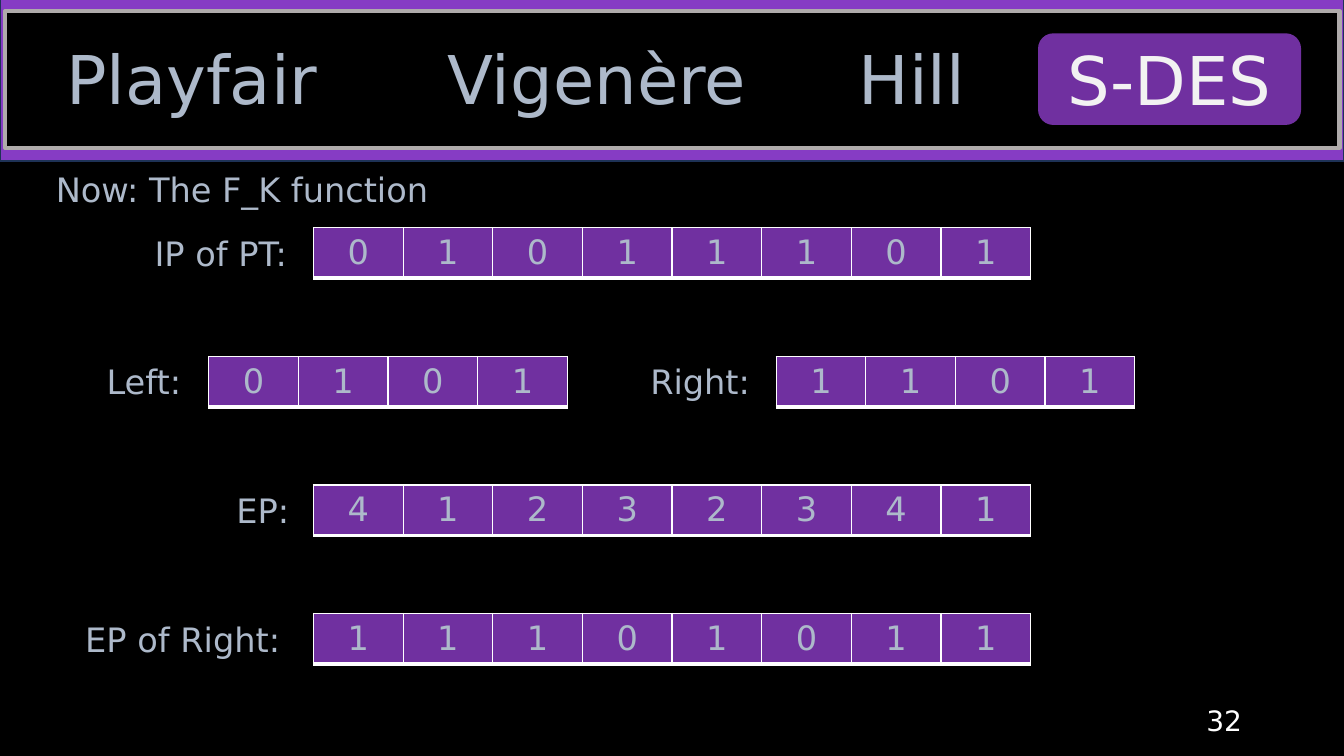
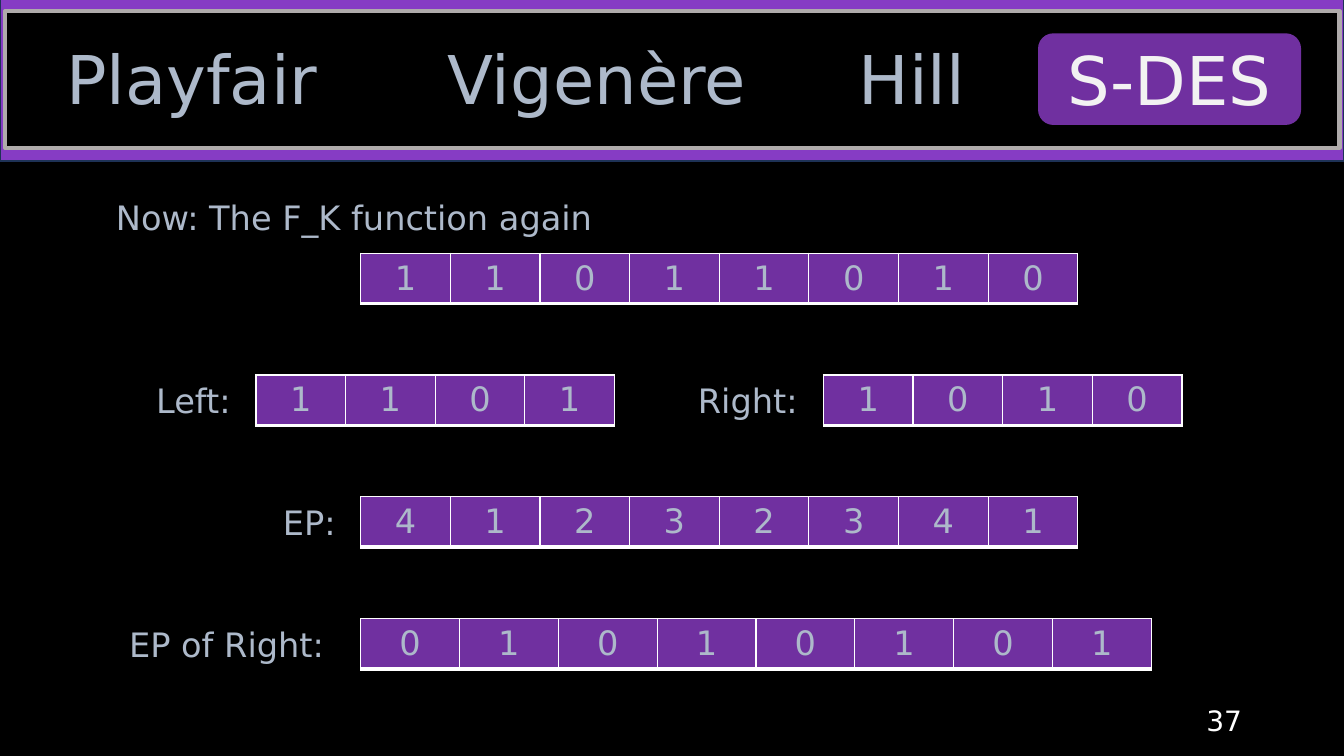
from lxml.etree import SubElement
from pptx import Presentation
from pptx.dml.color import RGBColor
from pptx.enum.shapes import MSO_SHAPE
from pptx.enum.text import MSO_ANCHOR, PP_ALIGN
from pptx.oxml.ns import qn
from pptx.util import Cm, Pt

COLORS = {
    "back": "000000", "band": "863CC4", "edge": "1E3256", "frame": "AFABAB",
    "cell": "7030A0", "text": "ADB9CA", "active": "F2F2F2", "white": "FFFFFF",
}
FONT = "DejaVu Sans"
ROW_HIGH = 1.26
CELL, WIDE = 2.26, 2.49
BORDERS = {"lnL": 1, "lnR": 1, "lnT": 1, "lnB": 3}

# fill, line, line width, box
BANDS = [
    ("band", "edge", 1, (0, -0.05, 33.87, 4.11)),
    ("back", "frame", 3, (0.13, 0.28, 33.63, 3.45)),
]
# name, left, width
TABS = [("Playfair", 0.61, 8.46), ("Vigenère", 10.29, 9.5), ("Hill", 21, 3.96)]
ACTIVE = ("S-DES", (26.16, 0.84, 6.63, 2.31))

# Each table: row, left from the main column, digits, cell width
# Each label: row, text, left, width, alignment
MID, RIGHT = PP_ALIGN.CENTER, PP_ALIGN.RIGHT
SLIDES = [
    {
        "page": "32", "left": 7.9, "top": 5.74, "step": 3.24,
        "head": ("Now: The F_K function", -0.15, 4.14, 12.5),
        "tables": [(0, 0, "01011101", CELL), (1, -2.64, "0101", CELL),
                   (1, 11.66, "1101", CELL), (2, 0, "41232341", CELL),
                   (3, 0, "11101011", CELL)],
        "labels": [(0, "IP of PT: ", 0.76, 6.99, RIGHT), (1, "Left: ", 2.31, 2.9, MID),
                   (1, "Right: ", 16, 3.56, MID), (2, "EP:", 5.28, 2.69, MID),
                   (3, "EP of Right:", 1.24, 6.73, MID)],
    },
    {
        "page": "37", "left": 9.09, "top": 6.38, "step": 3.07,
        "head": ("Now: The F_K function again", 1.04, 4.83, 15.77),
        "tables": [(0, 0, "11011010", CELL), (1, -2.64, "1101", CELL),
                   (1, 11.66, "1010", CELL), (2, 0, "41232341", CELL),
                   (3, 0, "01010101", WIDE)],
        "labels": [(1, "Left: ", 3.56, 2.9, MID), (1, "Right: ", 17.2, 3.56, MID),
                   (2, "EP:", 6.45, 2.69, MID), (3, "EP of Right:", 2.41, 6.6, MID)],
    },
]


def write(frame, text, size=24, color="text", align=MID):
    frame.text = text
    frame.word_wrap = True
    para = frame.paragraphs[0]
    para.alignment = align
    font = para.runs[0].font
    font.name, font.size = FONT, Pt(size)
    font.color.rgb = RGBColor.from_string(COLORS[color])


def panel(slide, kind, box, fill):
    shape = slide.shapes.add_shape(kind, *map(Cm, box))
    shape.shadow.inherit = False
    shape.fill.solid()
    shape.fill.fore_color.rgb = RGBColor.from_string(COLORS[fill])
    shape.line.fill.background()
    return shape


deck = Presentation()
deck.slide_width, deck.slide_height = Cm(33.87), Cm(19.05)

for data in SLIDES:
    slide = deck.slides.add_slide(deck.slide_layouts[6])
    slide.background.fill.solid()
    slide.background.fill.fore_color.rgb = RGBColor.from_string(COLORS["back"])

    # Header
    for fill, line, width, box in BANDS:
        band = panel(slide, MSO_SHAPE.RECTANGLE, box, fill)
        band.line.color.rgb = RGBColor.from_string(COLORS[line])
        band.line.width = Pt(width)
    for name, left, width in TABS:
        tab = slide.shapes.add_textbox(Cm(left), Cm(0.81), Cm(width), Cm(2.31))
        write(tab.text_frame, name, 48)
    name, box = ACTIVE
    pill = panel(slide, MSO_SHAPE.ROUNDED_RECTANGLE, box, "cell")
    pill.text_frame.margin_top = pill.text_frame.margin_bottom = 0
    pill.text_frame.vertical_anchor = MSO_ANCHOR.MIDDLE
    write(pill.text_frame, name, 48, "active")

    # Heading and row labels
    text, left, top, width = data["head"]
    head = slide.shapes.add_textbox(Cm(left), Cm(top), Cm(width), Cm(ROW_HIGH))
    write(head.text_frame, text)
    for row, text, left, width, align in data["labels"]:
        top = data["top"] + row * data["step"]
        label = slide.shapes.add_textbox(Cm(left), Cm(top), Cm(width), Cm(ROW_HIGH))
        write(label.text_frame, text, align=align)

    # Bit tables
    for row, shift, digits, width in data["tables"]:
        left = data["left"] + shift
        top = data["top"] + row * data["step"]
        table = slide.shapes.add_table(1, len(digits), Cm(left), Cm(top),
                                       Cm(width * len(digits)), Cm(ROW_HIGH)).table
        table.first_row = table.horz_banding = False
        for col, digit in enumerate(digits):
            table.columns[col].width = Cm(width)
            cell = table.cell(0, col)
            write(cell.text_frame, digit)
            cell.vertical_anchor = MSO_ANCHOR.MIDDLE
            props = cell._tc.get_or_add_tcPr()
            for side, weight in BORDERS.items():
                line = SubElement(props, qn(f"a:{side}"), w=str(Pt(weight)))
                solid = SubElement(line, qn("a:solidFill"))
                SubElement(solid, qn("a:srgbClr"), val=COLORS["white"])
            cell.fill.solid()
            cell.fill.fore_color.rgb = RGBColor.from_string(COLORS["cell"])

    # Page number
    page = slide.shapes.add_textbox(Cm(23.93), Cm(17.65), Cm(7.62), Cm(1.02))
    page.text_frame.vertical_anchor = MSO_ANCHOR.MIDDLE
    write(page.text_frame, data["page"], 20, "white", RIGHT)

deck.save("out.pptx")
